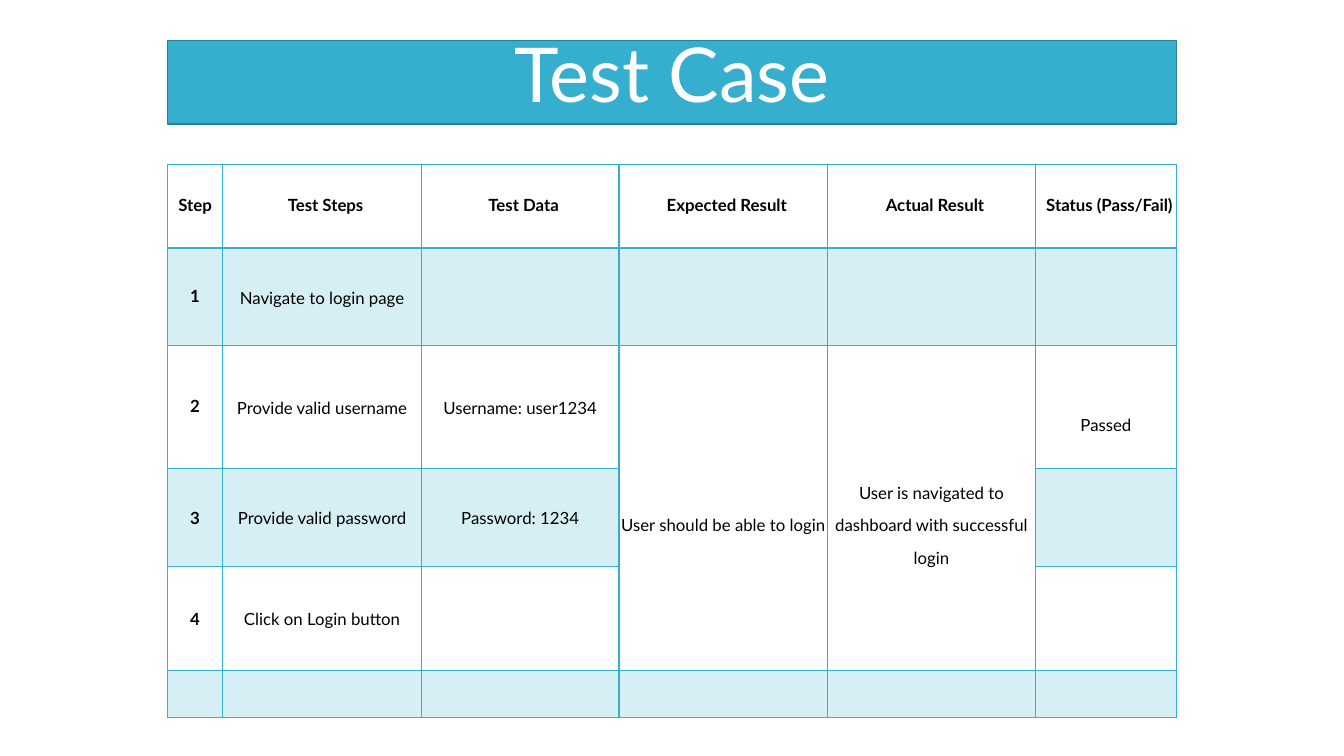
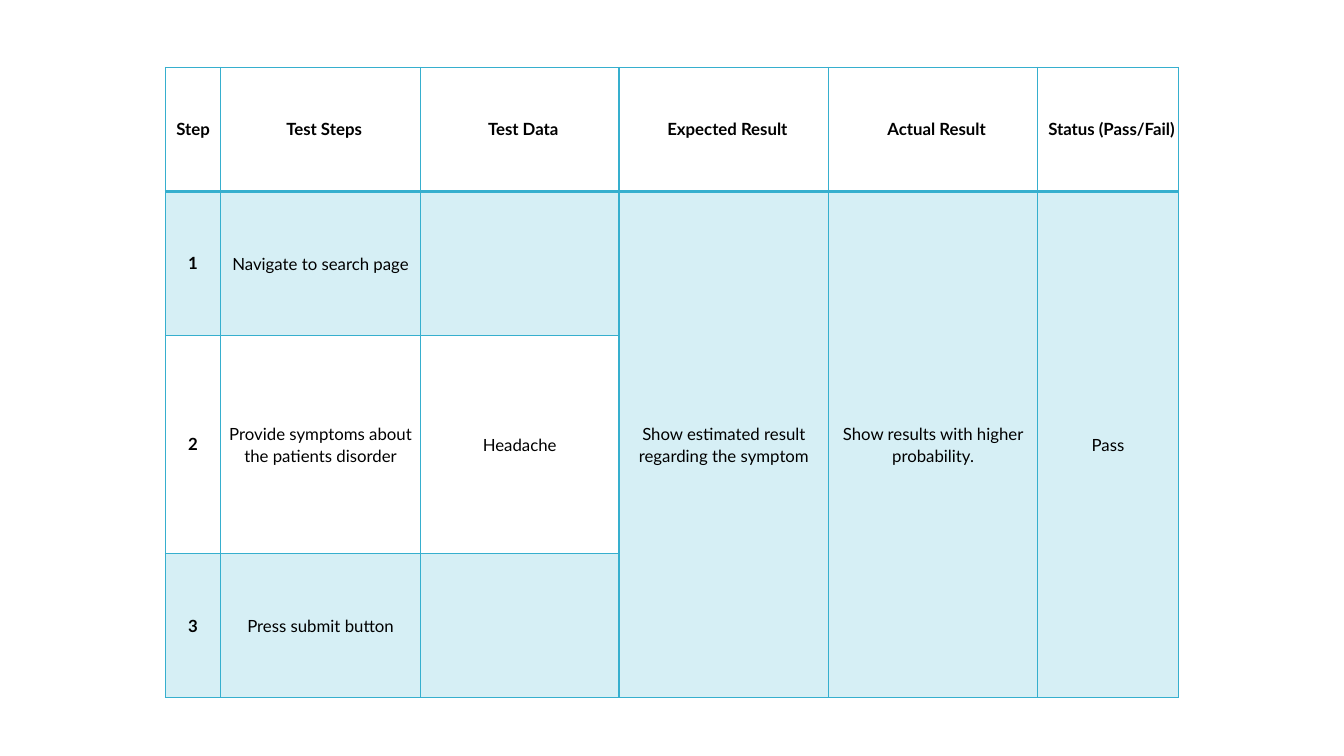
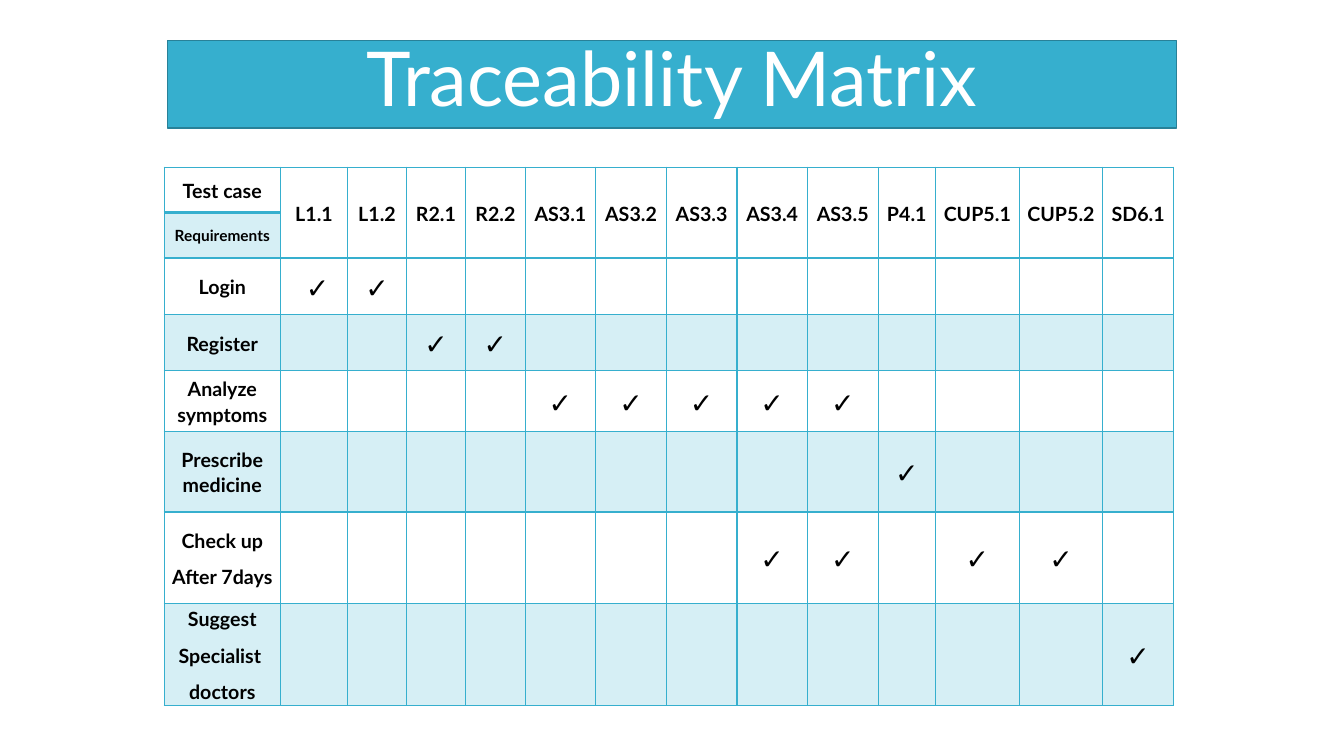
from dataclasses import dataclass

from lxml import etree
from pptx import Presentation
from pptx import util as u
from pptx.dml.color import RGBColor
from pptx.enum import text
from pptx.oxml.ns import qn


@dataclass(frozen=True)
class Theme:
    font: str = "Lato"
    accent: str = "36AFCE"
    accent_edge: str = "288198"
    white: str = "FFFFFF"
    ink: str = "000000"
    tint: int = 20  # percent opacity of the shaded rows
    title: int = 54
    body: int = 12
    label: int = 14
    small: int = 11
    tick: int = 20
    thin: int = 1
    thick: int = 2


theme = Theme()


def write_text(frame, words, size=theme.body, bold=False, color=theme.ink,
               spacing=1.07, after=8):
    """Fill a text frame with centred paragraphs, one per line of words."""
    for index, line in enumerate(words.split("\n")):
        para = frame.add_paragraph() if index else frame.paragraphs[0]
        para.alignment = text.PP_ALIGN.CENTER
        para.line_spacing = spacing
        para.space_after = u.Pt(after)
        span = para.add_run()
        span.text = line
        span.font.name = theme.font
        span.font.size = u.Pt(size)
        span.font.bold = bold
        span.font.color.rgb = RGBColor.from_string(color)


def style_cell(cell, shaded, bottom):
    """Draw the four borders of a cell, then its fill."""
    props = cell._tc.get_or_add_tcPr()
    for side in ("lnL", "lnR", "lnT", "lnB"):
        weight = bottom if side == "lnB" else theme.thin
        line = etree.SubElement(props, qn(f"a:{side}"), w=str(u.Pt(weight)))
        solid = etree.SubElement(line, qn("a:solidFill"))
        etree.SubElement(solid, qn("a:srgbClr"), val=theme.accent)
    if not shaded:
        cell.fill.background()
        return
    cell.fill.solid()
    cell.fill.fore_color.rgb = RGBColor.from_string(theme.accent)
    color = props.find(qn("a:solidFill")).find(qn("a:srgbClr"))
    etree.SubElement(color, qn("a:alpha"), val=str(theme.tint * 1000))


# Contents of the test case tables
step_header = ["Step", "Test Steps", "Test Data", "Expected Result",
               "Actual Result", "Status (Pass/Fail)"]
login_cells = [
    step_header,
    ["1", "Navigate to login page", "", "", "", ""],
    ["2", "Provide valid username", "Username: user1234",
     "User should be able to login",
     "User is navigated to\ndashboard with successful\nlogin", "Passed"],
    ["3", "Provide valid password", "Password: 1234", "", "", ""],
    ["4", "Click on Login button", "", "", "", ""],
    [""] * 6,
]
search_cells = [
    step_header,
    ["1", "Navigate to search page", "",
     "Show estimated result regarding the symptom",
     "Show results with higher probability.", "Pass"],
    ["2", "Provide symptoms about the patients disorder", "Headache", "", "", ""],
    ["3", "Press submit button", "", "", "", ""],
]

# Contents of the matrix: each requirement with the test cases that cover it
cases = ["L1.1", "L1.2", "R2.1", "R2.2", "AS3.1", "AS3.2", "AS3.3", "AS3.4",
         "AS3.5", "P4.1", "CUP5.1", "CUP5.2", "SD6.1"]
coverage = {
    "Login": ["L1.1", "L1.2"],
    "Register": ["R2.1", "R2.2"],
    "Analyze symptoms": ["AS3.1", "AS3.2", "AS3.3", "AS3.4", "AS3.5"],
    "Prescribe medicine": ["P4.1"],
    "Check up\nAfter 7days": ["AS3.4", "AS3.5", "CUP5.1", "CUP5.2"],
    "Suggest\nSpecialist \ndoctors": ["SD6.1"],
}
matrix_cells = [["Test case"] + cases, ["Requirements"] + [""] * len(cases)]
for requirement, covered in coverage.items():
    matrix_cells.append(
        [requirement] + ["✓" if case in covered else "" for case in cases])
matrix_cells[2][1] = " ✓"

# Merges are (first row, column, last row)
pages = [
    dict(title="Test Case", band=0.83, at=(1.66, 1.63), cells=login_cells,
         cols=[0.55, 1.97, 1.96, 2.07, 2.06, 1.4],
         rows=[0.83, 0.97, 1.22, 0.97, 1.03, 0.47],
         merges=[(2, 3, 4), (2, 4, 4)], lowered=[(2, 3), (2, 4), (2, 5)]),
    dict(title=None, at=(1.64, 0.67), cells=search_cells,
         cols=[0.55, 1.98, 1.97, 2.08, 2.07, 1.4],
         rows=[1.23, 1.43, 2.16, 1.43],
         merges=[(1, col, 3) for col in (3, 4, 5)], lowered=[]),
    dict(title="Traceability Matrix", band=0.87, at=(1.63, 1.66),
         cells=matrix_cells,
         cols=[1.15, 0.67, 0.58, 0.59, 0.59] + [0.7] * 5 + [0.57, 0.83, 0.83, 0.7],
         rows=[0.45, 0.45, 0.56, 0.56, 0.6, 0.8, 0.91, 1.01],
         merges=[(0, col, 1) for col in range(1, 14)], lowered=[]),
]

deck = Presentation()
deck.slide_width = u.Inches(13.33)
deck.slide_height = u.Inches(7.5)

for spec_page in pages:
    title = spec_page["title"]
    page = deck.slides.add_slide(deck.slide_layouts[5 if title else 6])

    # Title band
    if title:
        box = page.shapes.title
        box.left, box.top = u.Inches(1.66), u.Inches(0.4)
        box.width, box.height = u.Inches(10.01), u.Inches(spec_page["band"])
        box.fill.solid()
        box.fill.fore_color.rgb = RGBColor.from_string(theme.accent)
        box.line.color.rgb = RGBColor.from_string(theme.accent_edge)
        box.line.width = u.Pt(theme.thin)
        box.text_frame.auto_size = text.MSO_AUTO_SIZE.NONE
        box.text_frame.vertical_anchor = text.MSO_ANCHOR.BOTTOM
        write_text(box.text_frame, title, size=theme.title, color=theme.white,
                   spacing=0.9, after=0)

    # Table frame and merged cells
    cols, rows = spec_page["cols"], spec_page["rows"]
    left, top = spec_page["at"]
    table = page.shapes.add_table(
        len(rows), len(cols), u.Inches(left), u.Inches(top),
        u.Inches(sum(cols)), u.Inches(sum(rows))).table
    table.first_row = table.horz_banding = False
    for column, width in zip(table.columns, cols):
        column.width = u.Inches(width)
    for row, height in zip(table.rows, rows):
        row.height = u.Inches(height)
    for first, col, last in spec_page["merges"]:
        table.cell(first, col).merge(table.cell(last, col))

    # Cells
    is_matrix = spec_page["cells"] is matrix_cells
    for r, line in enumerate(spec_page["cells"]):
        for c, words in enumerate(line):
            cell = table.cell(r, c)
            under_header = r == 0 or (r == 1 and cell.is_spanned)
            style_cell(cell, shaded=r % 2 == 1 and not cell.is_spanned,
                       bottom=theme.thick if under_header else theme.thin)
            cell.vertical_anchor = text.MSO_ANCHOR.MIDDLE
            side = u.Inches(0.06 if is_matrix else 0)
            cell.margin_left = cell.margin_right = side
            cell.margin_top = cell.margin_bottom = 0
            if not words:
                continue
            style = dict(bold=r == 0 or c == 0)
            if is_matrix:
                style["size"] = theme.label if style["bold"] else theme.tick
                if words == "Requirements":
                    style["size"] = theme.small
            elif r == 0:
                style["spacing"] = u.Pt(12.9)
                cell.margin_left = u.Inches(0.07 if c else 0)
            elif c == 0 and r < 3:
                style["spacing"] = u.Pt(13.2)
            if (r, c) in spec_page["lowered"]:
                cell.margin_top = u.Inches(0.33)
            write_text(cell.text_frame, words, **style)

deck.save("out.pptx")
